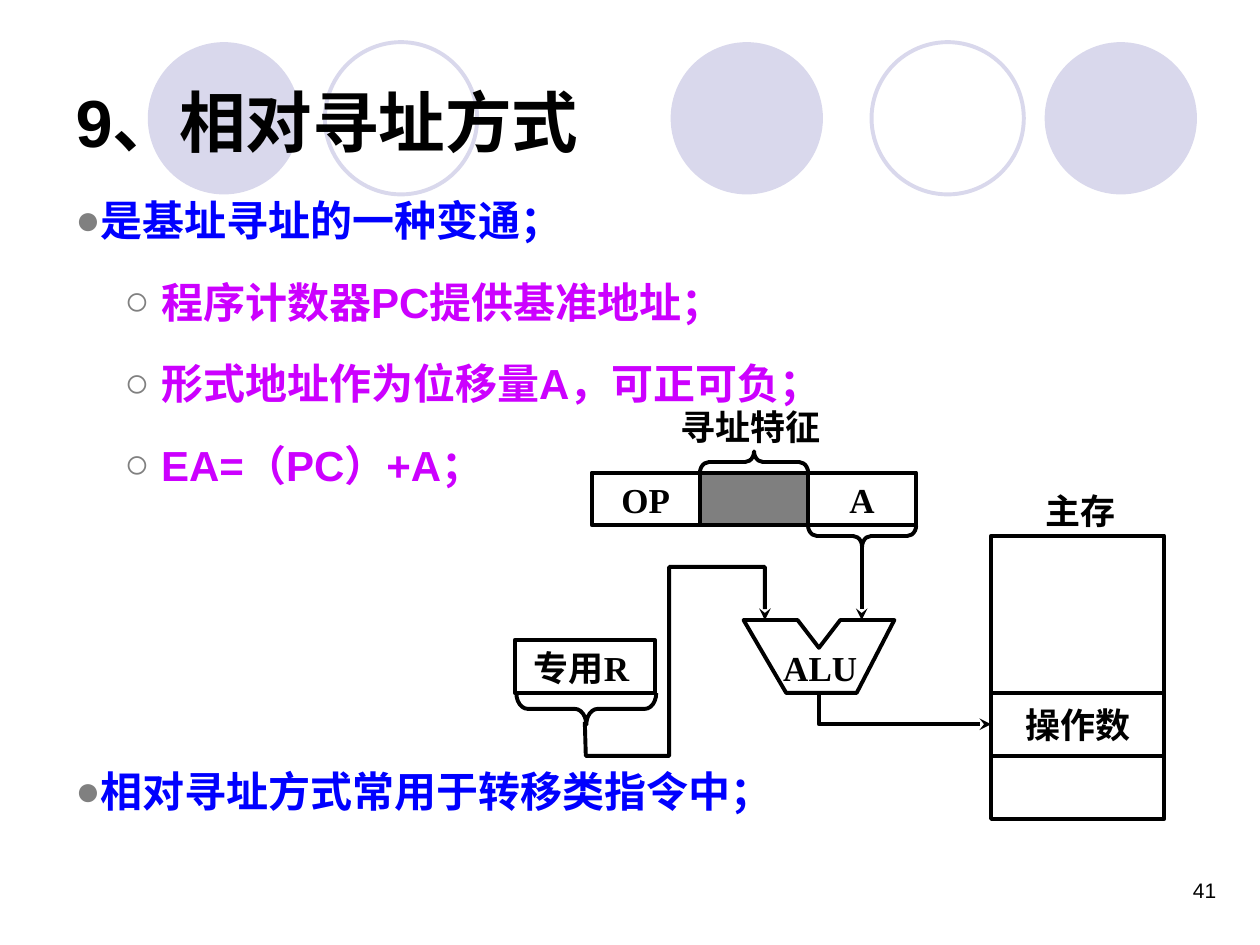
from dataclasses import dataclass

from lxml.etree import SubElement
from pptx import Presentation
from pptx.dml.color import RGBColor
from pptx.enum.shapes import MSO_CONNECTOR as Connector, MSO_SHAPE as Shape
from pptx.enum.text import MSO_ANCHOR as Anchor, MSO_AUTO_SIZE as AutoSize, PP_ALIGN as Align
from pptx.oxml.ns import qn
from pptx.util import Cm, Pt


@dataclass(frozen=True)
class Theme:
    ink: str = "000000"
    paper: str = "FFFFFF"
    circle: str = "D9D8EC"
    main: str = "0000FF"
    detail: str = "CC00FF"
    bullet: str = "808080"
    sans: str = "Arial"
    serif: str = "Times New Roman"
    title_size: int = 38
    body_size: int = 24
    label_size: int = 20
    number_size: int = 12
    line_width: float = 2.25


def add_bullet(paragraph, character, color, margin, indent):
    properties = paragraph._p.get_or_add_pPr()
    properties.set("marL", str(Cm(margin)))
    properties.set("indent", str(Cm(indent)))
    SubElement(SubElement(properties, qn("a:buClr")), qn("a:srgbClr"), val=color)
    SubElement(properties, qn("a:buSzPct"), val="100000")
    SubElement(properties, qn("a:buFont"), typeface="Arial")
    SubElement(properties, qn("a:buChar"), char=character)


def write_text(paragraph, text, *, size, font, color, bold=True, align=Align.LEFT):
    paragraph.alignment = align
    run = paragraph.add_run()
    run.text = text
    run.font.size = Pt(size)
    run.font.name = font
    run.font.bold = bold
    run.font.color.rgb = RGBColor.from_string(color)


class SlideBuilder:
    def __init__(self, presentation, theme):
        self.theme = theme
        self.slide = presentation.slides.add_slide(presentation.slide_layouts[5])
        self.shapes = self.slide.shapes

    def style(self, shape, fill=None, line=None, alpha=None):
        shape.shadow.inherit = False
        if fill:
            shape.fill.solid()
            shape.fill.fore_color.rgb = RGBColor.from_string(fill)
            if alpha:
                color = shape._element.spPr.find(qn("a:solidFill"))[0]
                SubElement(color, qn("a:alpha"), val=str(alpha * 1000))
        else:
            shape.fill.background()
        if line:
            self.stroke(shape, line)
        else:
            shape.line.fill.background()

    def stroke(self, shape, color, arrow=False):
        shape.line.color.rgb = RGBColor.from_string(color)
        shape.line.width = Pt(self.theme.line_width)
        if arrow:
            SubElement(shape.line._get_or_add_ln(), qn("a:tailEnd"), type="stealth")

    def label_format(self):
        return dict(size=self.theme.label_size, font=self.theme.serif, color=self.theme.ink)

    def box(self, left, top, width, height, text="", kind=Shape.RECTANGLE, **style):
        shape = self.shapes.add_shape(kind, Cm(left), Cm(top), Cm(width), Cm(height))
        self.style(shape, **style)
        if text:
            frame = shape.text_frame
            frame.word_wrap = False
            frame.vertical_anchor = Anchor.MIDDLE
            write_text(frame.paragraphs[0], text, align=Align.CENTER, **self.label_format())
        return shape

    def cell(self, left, top, width, height, text="", **style):
        return self.box(left, top, width, height, text, line=self.theme.ink, **style)

    def text_box(self, left, top, width, height, wrap=True):
        frame = self.shapes.add_textbox(Cm(left), Cm(top), Cm(width), Cm(height)).text_frame
        frame.word_wrap = wrap
        return frame

    def label(self, left, top, width, text):
        frame = self.text_box(left, top, width, 1.12, wrap=False)
        frame.auto_size = AutoSize.SHAPE_TO_FIT_TEXT
        write_text(frame.paragraphs[0], text, **self.label_format())

    def brace(self, left, top, length, depth, rotation, curve):
        shape = self.cell(left + (length - depth) / 2, top + (depth - length) / 2,
                          depth, length, kind=Shape.LEFT_BRACE)
        shape.rotation = rotation
        shape.adjustments[0] = curve

    def outline(self, points, close=False, arrow=False):
        (start_x, start_y), *rest = [(Cm(x), Cm(y)) for x, y in points]
        builder = self.shapes.build_freeform(start_x, start_y)
        builder.add_line_segments(rest, close=close)
        shape = builder.convert_to_shape()
        self.style(shape)
        self.stroke(shape, self.theme.ink, arrow)

    def arrow(self, x, top, bottom):
        connector = self.shapes.add_connector(Connector.STRAIGHT, Cm(x), Cm(top), Cm(x), Cm(bottom))
        self.stroke(connector, self.theme.ink, arrow=True)
        SubElement(connector._element.spPr, qn("a:effectLst"))

    def title(self, text):
        title = self.shapes.title
        title.left, title.top, title.width, title.height = Cm(1.27), Cm(0.84), Cm(22.86), Cm(3.18)
        frame = title.text_frame
        frame.auto_size = AutoSize.NONE
        frame.vertical_anchor = Anchor.MIDDLE
        write_text(frame.paragraphs[0], text, size=self.theme.title_size,
                   font=self.theme.sans, color=self.theme.ink)
        self.shapes._spTree.append(title._element)

    def body(self, items):
        theme = self.theme
        frame = self.text_box(1.27, 3.6, 23.5, 14.17)
        for index, (level, text, space_before) in enumerate(items):
            paragraph = frame.paragraphs[0] if index == 0 else frame.add_paragraph()
            paragraph.line_spacing = 1.2
            paragraph.space_before = Pt(space_before)
            paragraph.space_after = Pt(6)
            paragraph.level = level
            character, color, margin, indent = (
                ("○", theme.detail, 1.73, -0.74) if level else ("●", theme.main, 0.48, -0.48))
            add_bullet(paragraph, character, theme.bullet, margin, indent)
            write_text(paragraph, text, size=theme.body_size, font=theme.sans, color=color)

    def number(self, text):
        frame = self.text_box(18.85, 17.57, 5.92, 1.27)
        write_text(frame.paragraphs[0], text, size=self.theme.number_size, font=self.theme.sans,
                   color=self.theme.ink, bold=False, align=Align.RIGHT)


def main():
    presentation = Presentation()
    presentation.slide_width, presentation.slide_height = Cm(25.4), Cm(19.05)
    theme = Theme()
    builder = SlideBuilder(presentation, theme)

    for left in (13.52, 21.06, 2.98):
        builder.box(left, 0.85, 3.07, 3.07, kind=Shape.OVAL, fill=theme.circle)
    for left in (17.57, 6.55):
        builder.box(left, 0.85, 3.07, 3.07, kind=Shape.OVAL, line=theme.circle)
    builder.number("41")

    builder.box(8.89, 7.62, 15.88, 9.32, fill=theme.paper)
    field_width, field_top, field_height = 2.18, 9.53, 1.06
    op_left, mode_left, address_left = (11.93 + field_width * step for step in range(3))
    builder.cell(op_left, field_top, field_width, field_height, "OP")
    builder.cell(mode_left, field_top, field_width, field_height, fill=theme.ink, alpha=50)
    builder.cell(address_left, field_top, field_width, field_height, "A")

    for top, height, text in ((15.24, 1.27, ""), (10.8, 3.17, ""), (13.97, 1.27, "操作数")):
        builder.cell(19.98, top, 3.49, height, text)
    builder.cell(10.38, 12.9, 2.82, 1.07)

    for left, top, width, text in (
        (20.83, 9.75, 2.1, "主存"),
        (13.46, 8.05, 3.4, "寻址特征"),
        (15.54, 12.9, 2.1, "ALU"),
        (10.51, 12.9, 2.8, "专用R"),
    ):
        builder.label(left, top, width, text)

    builder.brace(mode_left, 9.1, field_width, 0.43, 90, 0.42)
    builder.brace(address_left, 10.59, field_width, 0.43, 270, 0.42)
    builder.brace(10.41, 13.97, 2.82, 0.64, 270, 0.36)

    builder.outline([(14.99, 12.5), (16.08, 12.5), (16.51, 13.06), (16.94, 12.5),
                     (18.03, 12.5), (17.27, 13.97), (15.85, 13.97)], close=True)
    builder.outline([(11.79, 14.55), (11.81, 15.24), (13.49, 15.24), (13.49, 11.43),
                     (15.42, 11.43), (15.42, 12.5)], arrow=True)
    builder.arrow(17.37, 11, 12.5)
    builder.outline([(16.51, 13.97), (16.51, 14.6), (19.98, 14.6)], arrow=True)

    builder.title("9、相对寻址方式")
    builder.body([
        (0, "是基址寻址的一种变通；", 0),
        (1, "程序计数器PC提供基准地址；", 6),
        (1, "形式地址作为位移量A，可正可负；", 6),
        (1, "EA=（PC）+A；", 6),
        (0, "相对寻址方式常用于转移类指令中；", 146),
    ])
    presentation.save("out.pptx")


if __name__ == "__main__":
    main()
